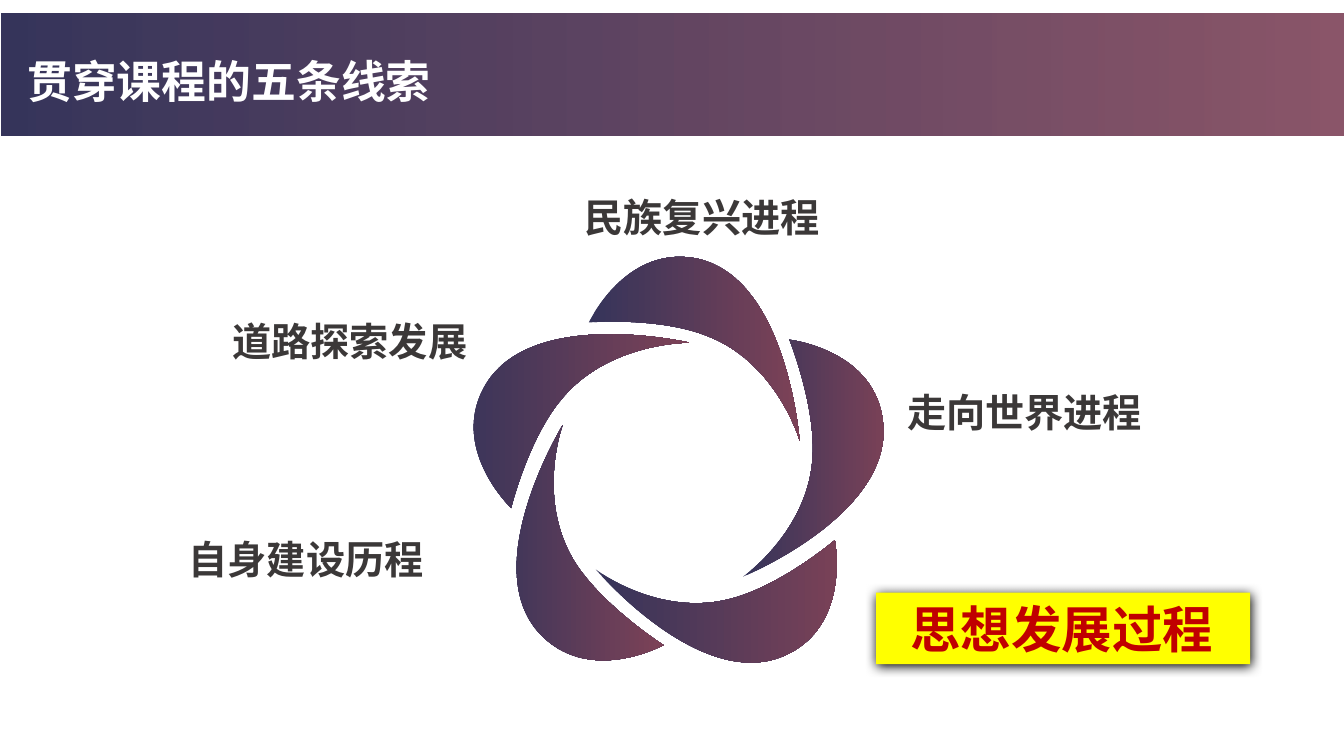
from dataclasses import dataclass

from lxml.etree import SubElement
from pptx import Presentation
from pptx.dml.color import RGBColor
from pptx.enum.dml import MSO_FILL
from pptx.enum.shapes import MSO_SHAPE
from pptx.enum.text import MSO_ANCHOR, MSO_AUTO_SIZE, PP_ALIGN
from pptx.oxml.ns import qn
from pptx.util import Inches, Pt

FONT = "Noto Sans CJK SC"
COLORS = {
    "navy": "2B2A52",
    "wine": "76384F",
    "white": "FFFFFF",
    "text": "3B3838",
    "yellow": "FFFF00",
    "red": "C00000",
    "black": "000000",
}


@dataclass
class Label:
    text: str
    left: float
    top: float
    width: float
    align: PP_ALIGN = PP_ALIGN.LEFT


@dataclass
class Petal:
    """Two ends, two bulges and their curve handles, in hundredths of an inch."""
    start: tuple
    outer_in: tuple
    outer: tuple
    outer_out: tuple
    tip: tuple
    inner_in: tuple
    inner: tuple
    inner_out: tuple

    def curve_points(self) -> list:
        return [
            self.start, self.outer_in, self.outer,
            self.outer_out, self.tip, self.tip,
            self.tip, self.inner_in, self.inner,
            self.inner_out, self.start, self.start,
        ]


LABELS = [
    Label("民族复兴进程", 5.7, 1.87, 2.99),
    Label("走向世界进程", 8.9, 3.8, 3.03),
    Label("自身建设历程", 1.43, 5.26, 2.87, PP_ALIGN.RIGHT),
    Label("道路探索发展", 2.2, 3.1, 2.54, PP_ALIGN.CENTER),
]
PETALS = [
    Petal((507, 504), (444, 444), (482, 381), (529, 304),
          (684, 340), (604, 339), (557, 396), (524, 435)),
    Petal((584, 320), (621, 241), (693, 257), (781, 278),
          (793, 437), (771, 361), (703, 334), (655, 314)),
    Petal((783, 337), (870, 347), (876, 421), (884, 511),
          (737, 572), (802, 527), (806, 453), (809, 402)),
    Petal((828, 536), (845, 622), (777, 651), (694, 686),
          (591, 565), (653, 613), (725, 594), (775, 581)),
    Petal((658, 640), (582, 682), (533, 626), (475, 558),
          (558, 422), (531, 496), (571, 559), (599, 602)),
]


def rgb(name: str) -> RGBColor:
    return RGBColor.from_string(COLORS[name])


def fill_gradient(shape, opacities: tuple) -> None:
    """Fill from navy to wine, left to right, with an opacity percentage per end."""
    shape.shadow.inherit = False
    shape.line.fill.background()
    shape.fill.gradient()
    shape.fill.gradient_angle = 0
    for stop, name, opacity in zip(shape.fill.gradient_stops, ("navy", "wine"), opacities):
        stop.color.rgb = rgb(name)
    colors = shape._element.spPr.findall(".//" + qn("a:srgbClr"))
    for color, opacity in zip(colors, opacities):
        SubElement(color, qn("a:alpha"), val=str(opacity * 1000))


def write_text(shape, text: str, size: int, color: str, align: PP_ALIGN,
               anchor: MSO_ANCHOR = MSO_ANCHOR.TOP) -> None:
    frame = shape.text_frame
    frame_format = {"word_wrap": True, "auto_size": MSO_AUTO_SIZE.NONE,
                    "vertical_anchor": anchor}
    for name, value in frame_format.items():
        setattr(frame, name, value)
    para = frame.paragraphs[0]
    para.alignment = align
    span = para.add_run()
    span.text = text
    font_format = {"name": FONT, "size": Pt(size), "bold": True}
    for name, value in font_format.items():
        setattr(span.font, name, value)
    span.font.color.rgb = rgb(color)
    SubElement(span.font._element, qn("a:ea"), typeface=FONT)


def add_header(page) -> None:
    banner = page.shapes.add_shape(
        MSO_SHAPE.RECTANGLE, Inches(0.02), Inches(0.13), Inches(13.33), Inches(1.21))
    fill_gradient(banner, (95, 85))
    title = page.shapes.title
    title._element.addprevious(banner._element)
    position = {"left": 0.17, "top": 0.48, "width": 13, "height": 0.64}
    for name, value in position.items():
        setattr(title, name, Inches(value))
    write_text(title, "贯穿课程的五条线索", 32, "white", PP_ALIGN.LEFT)


def add_label(page, label: Label) -> None:
    box = page.shapes.add_textbox(
        Inches(label.left), Inches(label.top), Inches(label.width), Inches(0.57))
    write_text(box, label.text, 28, "text", label.align)


def add_highlight(page) -> None:
    box = page.shapes.add_shape(
        MSO_SHAPE.RECTANGLE, Inches(8.69), Inches(5.88), Inches(3.71), Inches(0.71))
    box.shadow.inherit = False
    box.fill.solid()
    box.fill.fore_color.rgb = rgb("yellow")
    box.line.fill.background()
    effects = box._element.spPr.find(qn("a:effectLst"))
    shadow = SubElement(effects, qn("a:outerShdw"), blurRad=str(Pt(8.5)),
                        dist=str(Pt(1)), dir="5400000", algn="t", rotWithShape="0")
    SubElement(shadow, qn("a:srgbClr"), val=COLORS["black"])
    box.text_frame.margin_right = Inches(0.37)
    write_text(box, "思想发展过程", 36, "red", PP_ALIGN.RIGHT, MSO_ANCHOR.MIDDLE)


def add_petal(group, petal: Petal) -> None:
    builder = group.shapes.build_freeform(*petal.start, scale=Inches(0.01))
    builder.add_line_segments(petal.curve_points(), close=True)
    shape = builder.convert_to_shape()
    bend_segments(shape)
    fill_gradient(shape, (95, 95))


def bend_segments(shape) -> None:
    """Turn every three straight segments into one cubic curve."""
    outline = shape._element.find(".//" + qn("a:path"))
    segments = outline.findall(qn("a:lnTo"))
    for first in range(0, len(segments), 3):
        curve = SubElement(outline, qn("a:cubicBezTo"))
        segments[first].addprevious(curve)
        for segment in segments[first:first + 3]:
            curve.append(segment[0])
            outline.remove(segment)


def main() -> None:
    deck = Presentation()
    deck.slide_width, deck.slide_height = Inches(13.33), Inches(7.5)
    page = deck.slides.add_slide(deck.slide_layouts[5])
    add_header(page)
    for label in LABELS:
        add_label(page, label)
    add_highlight(page)
    flower = page.shapes.add_group_shape()
    for petal in PETALS:
        add_petal(flower, petal)
    deck.save("out.pptx")


if __name__ == "__main__":
    main()
